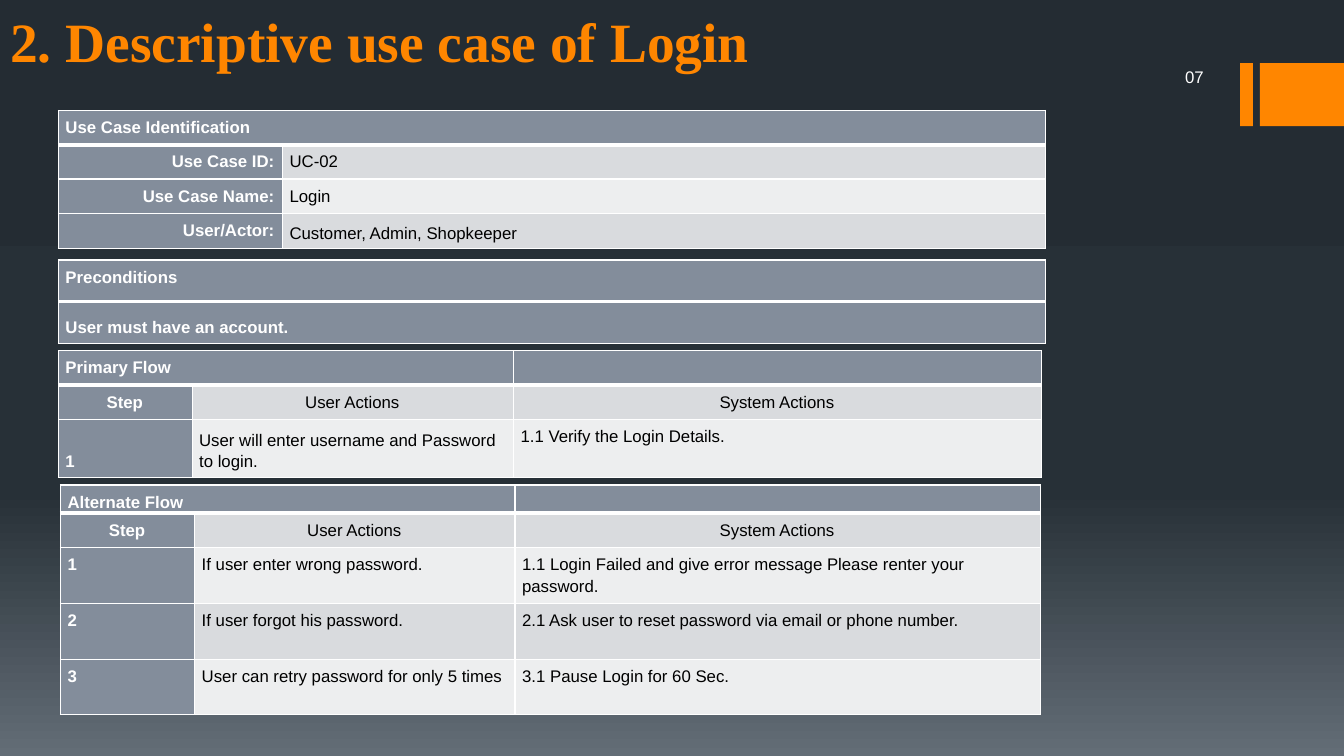
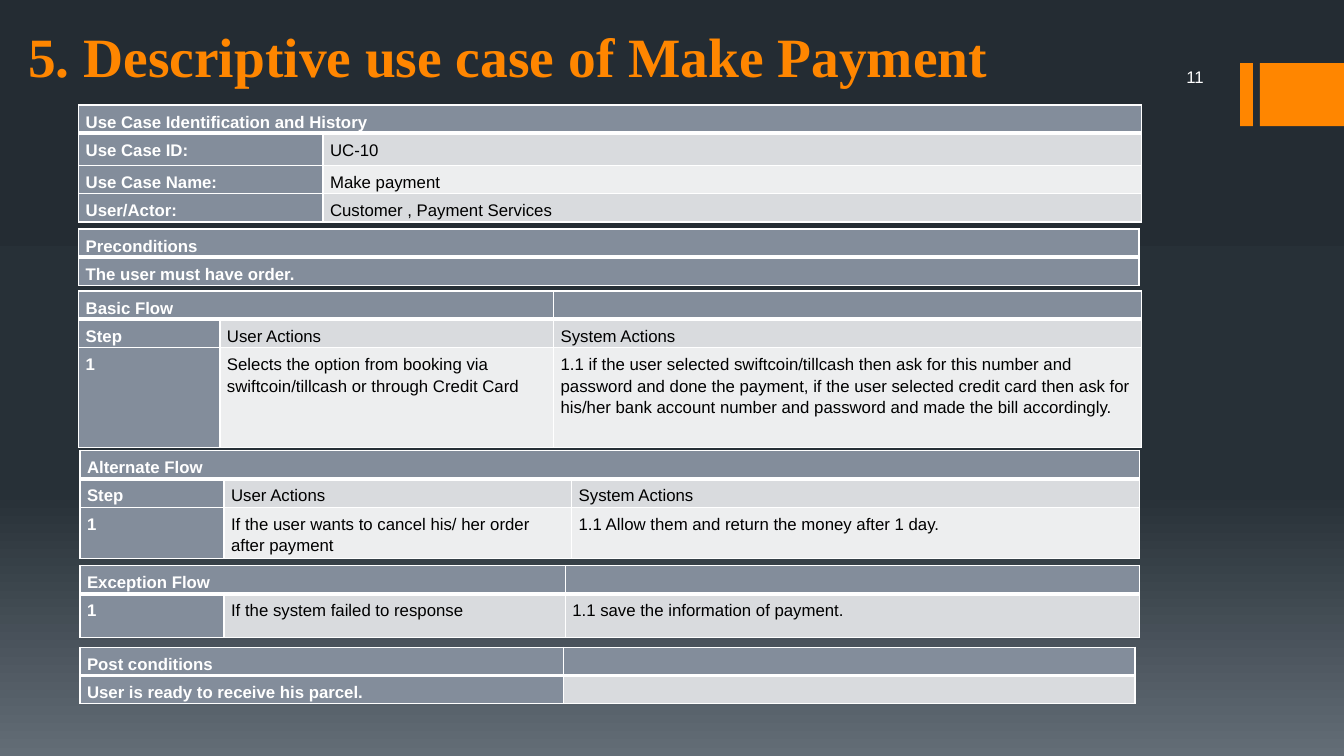
from dataclasses import dataclass, field

from lxml.etree import SubElement
from copy import deepcopy
from pptx import Presentation
from pptx.dml.color import RGBColor
from pptx.enum.shapes import MSO_SHAPE
from pptx.enum.text import MSO_ANCHOR, MSO_AUTO_SIZE, PP_ALIGN
from pptx.oxml.ns import qn
from pptx.util import Emu, Inches, Pt


@dataclass(frozen=True)
class Theme:
    """Colours, fonts, type sizes and line widths of the deck."""
    accent: str = "FF8600"
    white: str = "FFFFFF"
    black: str = "000000"
    head: str = "838D9B"
    bands: tuple[str, str] = ("EDEEEF", "D9DBDE")
    sky: tuple[tuple[float, str], ...] = ((0, "242C33"), (0.65, "273037"), (1, "636D76"))
    serif: str = "Times New Roman"
    sans: str = "Arial"
    big: float = 39.6
    small: float = 12
    thin: float = 1
    thick: float = 3
    lead: float = 1.15


@dataclass(frozen=True)
class Grid:
    """A table placed in percent of the slide, its columns in percent of its width."""
    x: float
    y: float
    w: float
    cols: tuple[float, ...]
    rows: tuple[float, ...]
    text: tuple[tuple[str, ...], ...]
    span: int = 1
    pad: float = 0
    lean: dict[tuple[int, int], PP_ALIGN] = field(default_factory=dict)
    low: frozenset[tuple[int, int]] = frozenset()


@dataclass(frozen=True)
class Page:
    """A titled slide with its number and tables."""
    title: str
    x: float
    y: float
    num: str
    grids: tuple[Grid, ...]


T = Theme()
WIDE, HIGH = Inches(13.33), Inches(7.5)
STEPS = ("Step", "User Actions", "System Actions")
MID = {(1, col): PP_ALIGN.CENTER for col in range(3)}
RIGHT = {(row, 0): PP_ALIGN.RIGHT for row in range(1, 4)}

LOGIN = Page("2. Descriptive use case of Login", 0, 0.4, "07", (
    Grid(4.35, 14.6, 73.44, (22.7, 77.3), (4.4, 4.5, 4.55, 4.7), (
        ("Use Case Identification", ""),
        ("Use Case ID:", "UC-02"),
        ("Use Case Name:", "Login"),
        ("User/Actor:", "Customer, Admin, Shopkeeper"),
    ), span=2, pad=0.06, lean=RIGHT, low=frozenset({(3, 1)})),
    Grid(4.35, 34.4, 73.44, (100,), (5.5, 5.5), (
        ("Preconditions",),
        ("User must have an account.",),
    ), pad=0.06, low=frozenset({(1, 0)})),
    Grid(4.35, 46.4, 73.14, (13.6, 32.7, 53.7), (4.5, 4.5, 7.7), (
        ("Primary Flow", "", ""),
        STEPS,
        ("1", "User will enter username and Password to login.", "1.1 Verify the Login Details."),
    ), span=2, pad=0.06, lean=MID, low=frozenset({(2, 0), (2, 1)})),
    Grid(4.5, 64.15, 72.9, (13.7, 32.7, 53.6), (3.5, 4.5, 7.45, 7.35, 7.35), (
        ("Alternate Flow", "", ""),
        STEPS,
        ("1", "If user enter wrong password.",
         "1.1 Login Failed and give error message Please renter your password."),
        ("2", "If user forgot his password.",
         "2.1 Ask user to reset password via email or phone number."),
        ("3", "User can retry password for only 5 times", "3.1 Pause Login for 60 Sec."),
    ), span=2, lean=MID),
))

PAY = Page("5. Descriptive use case of Make Payment", 1.35, 2.4, "11", (
    Grid(5.85, 13.9, 79.07, (23, 77), (3.5, 4.25, 3.5, 3.4), (
        ("Use Case Identification and History", ""),
        ("Use Case ID:", "UC-10"),
        ("Use Case Name:", "Make payment"),
        ("User/Actor:", "Customer , Payment Services"),
    ), span=2),
    Grid(5.85, 30.3, 78.9, (100,), (3.5, 3.4), (
        ("Preconditions",),
        ("The user must have order.",),
    )),
    Grid(5.85, 38.5, 79.07, (13.3, 31.4, 55.3), (3.5, 3.5, 13.2), (
        ("Basic Flow", "", ""),
        STEPS,
        ("1", "Selects the option from booking via swiftcoin/tillcash or through Credit Card",
         "1.1 if the user selected swiftcoin/tillcash then ask for this number and password "
         "and done the payment, if the user selected credit card then ask for his/her bank "
         "account number and password and made the bill accordingly."),
    ), span=2),
    Grid(5.95, 59.6, 78.85, (13.6, 32.8, 53.6), (3.6, 3.4, 6.4), (
        ("Alternate Flow", "", ""),
        STEPS,
        ("1", "If the user wants to cancel his/ her order after payment",
         "1.1 Allow them and return the money after 1 day."),
    ), span=3),
    Grid(5.95, 74.8, 78.85, (13.6, 32.2, 54.2), (3.6, 5.8), (
        ("Exception Flow", "", ""),
        ("1", "If the system failed to response", "1.1 save the information of payment."),
    ), span=2),
    Grid(5.95, 85.6, 78.5, (45.85, 54.15), (3.6, 3.4), (
        ("Post conditions", ""),
        ("User is ready to receive his parcel.", ""),
    )),
))


def part(share: float, whole: int) -> Emu:
    """Return a percentage of a length."""
    return Emu(round(whole * share / 100))


def style(para, face: str, size: float, tint: str, bold: bool = False) -> None:
    """Set the font of a paragraph."""
    font = para.font
    font.name, font.size, font.bold = face, Pt(size), bold
    font.color.rgb = RGBColor.from_string(tint)


def paint(fill, tint: str) -> None:
    """Fill with one colour."""
    fill.solid()
    fill.fore_color.rgb = RGBColor.from_string(tint)


def shade(fill) -> None:
    """Fill with the vertical gradient of the deck."""
    fill.gradient()
    fill.gradient_angle = 270
    stops = fill.gradient_stops
    last = stops[1]._gs
    last.addnext(deepcopy(last))
    for stop, (pos, tint) in zip(fill.gradient_stops, T.sky):
        stop.position = pos
        stop.color.rgb = RGBColor.from_string(tint)


def edge(cell, row: int) -> None:
    """Rule a cell in white, with a thick line under the header row."""
    props = cell._tc.get_or_add_tcPr()
    heavy = {(0, "lnB"), (1, "lnT")}
    for side in ("lnL", "lnR", "lnT", "lnB"):
        size = T.thick if (row, side) in heavy else T.thin
        line = SubElement(props, qn(f"a:{side}"), w=str(Pt(size)))
        SubElement(SubElement(line, qn("a:solidFill")), qn("a:srgbClr"), val=T.white)


def write(cell, grid: Grid, row: int, col: int) -> None:
    """Fill in and format one cell."""
    dark = row == 0 or col == 0
    edge(cell, row)
    paint(cell.fill, T.head if dark else T.bands[row % 2])
    cell.margin_left, cell.margin_right = Inches(0.07), Inches(0.08)
    cell.margin_top, cell.margin_bottom = Inches(0.05), Inches(grid.pad)
    cell.vertical_anchor = MSO_ANCHOR.BOTTOM if (row, col) in grid.low else MSO_ANCHOR.TOP
    para = cell.text_frame.paragraphs[0]
    words = grid.text[row][col]
    if words:
        para.text = words
    else:
        SubElement(para._p, qn("a:endParaRPr"), sz=str(round(T.small * 100)))
    para.alignment = grid.lean.get((row, col), PP_ALIGN.LEFT)
    para.line_spacing = T.lead
    style(para, T.sans, T.small, T.white if dark else T.black, dark)


def table(slide, grid: Grid) -> None:
    """Draw a table."""
    wide = part(grid.w, WIDE)
    frame = slide.shapes.add_table(
        len(grid.rows), len(grid.cols), part(grid.x, WIDE), part(grid.y, HIGH),
        wide, part(sum(grid.rows), HIGH))
    tab = frame.table
    tab.first_row = tab.horz_banding = False
    for col, share in zip(tab.columns, grid.cols):
        col.width = part(share, wide)
    for row, share in zip(tab.rows, grid.rows):
        row.height = part(share, HIGH)
    for row, line in enumerate(grid.text):
        for col in range(len(line)):
            write(tab.cell(row, col), grid, row, col)
    if grid.span > 1:
        tab.cell(0, 0).merge(tab.cell(0, grid.span - 1))


def frame(slide, page: Page) -> None:
    """Draw the accent bars, title and slide number."""
    for left, wide in ((92.27, 0.95), (93.75, 6.25)):
        bar = slide.shapes.add_shape(
            MSO_SHAPE.RECTANGLE, part(left, WIDE), part(8.35, HIGH),
            part(wide, WIDE), part(8.35, HIGH))
        bar.shadow.inherit = False
        paint(bar.fill, T.accent)
        bar.line.fill.background()
    title = slide.shapes.title
    title.left, title.top = part(page.x, WIDE), part(page.y, HIGH)
    title.width, title.height = part(80, WIDE), part(10, HIGH)
    text = title.text_frame
    text.text = page.title
    text.auto_size = MSO_AUTO_SIZE.NONE
    text.vertical_anchor = MSO_ANCHOR.BOTTOM
    text.paragraphs[0].alignment = PP_ALIGN.LEFT
    style(text.paragraphs[0], T.serif, T.big, T.accent, True)
    box = slide.shapes.add_textbox(
        part(80, WIDE), part(8, HIGH), part(10.3, WIDE), part(4.4, HIGH))
    text = box.text_frame
    text.word_wrap = True
    text.vertical_anchor = MSO_ANCHOR.MIDDLE
    text.text = page.num
    text.paragraphs[0].alignment = PP_ALIGN.RIGHT
    style(text.paragraphs[0], T.sans, T.small, T.white)


def main() -> None:
    """Build and save the deck."""
    deck = Presentation()
    deck.slide_width, deck.slide_height = WIDE, HIGH
    shade(deck.slide_master.background.fill)
    for page in (LOGIN, PAY):
        slide = deck.slides.add_slide(deck.slide_layouts[5])
        frame(slide, page)
        for grid in page.grids:
            table(slide, grid)
    deck.save("out.pptx")


if __name__ == "__main__":
    main()
